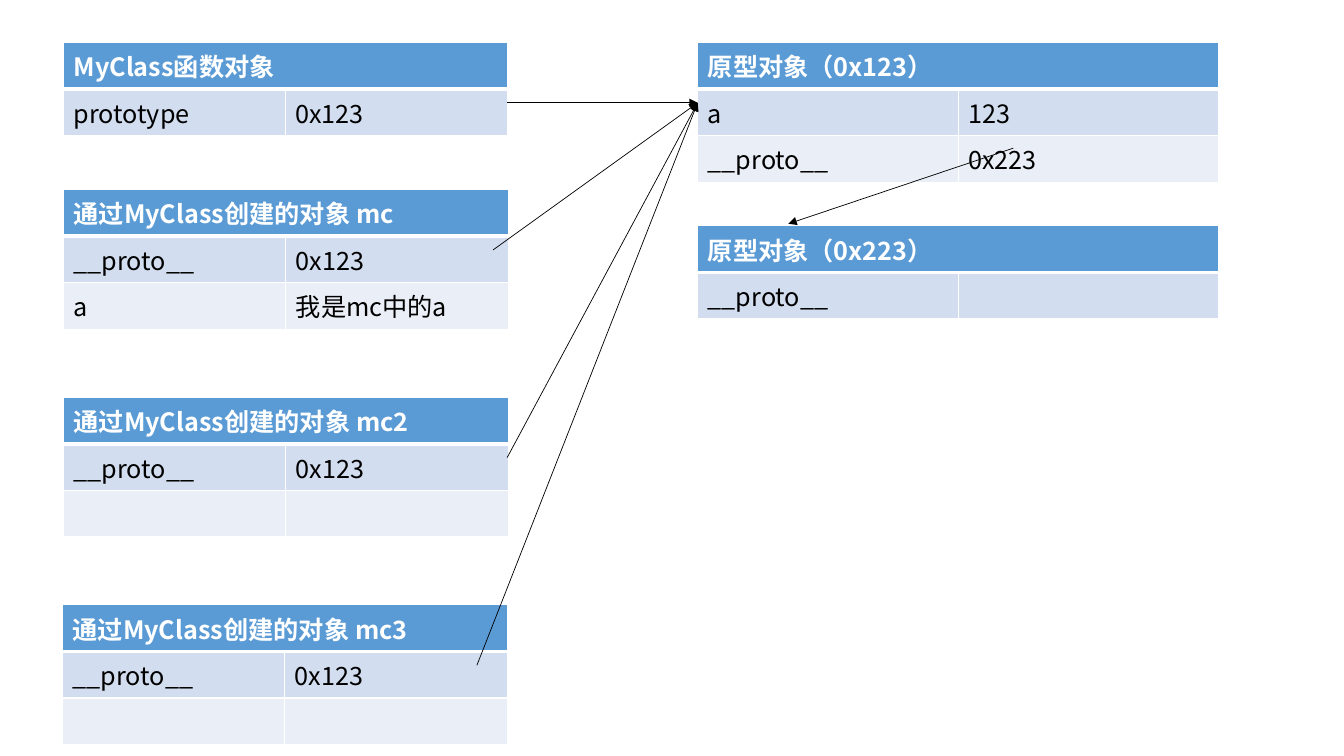
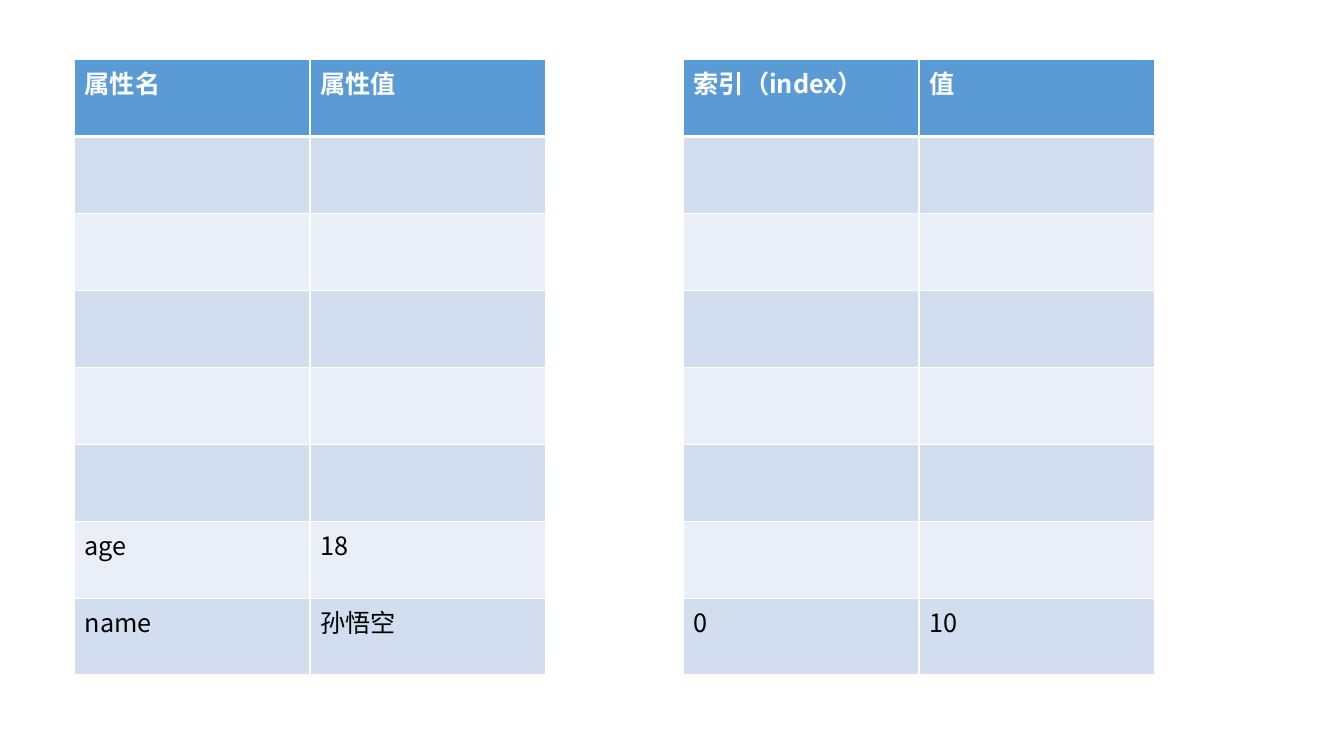
from lxml.etree import SubElement
from pptx import Presentation
from pptx.dml.color import RGBColor
from pptx.enum.shapes import MSO_CONNECTOR
from pptx.oxml.ns import qn
from pptx.util import Inches, Pt

COLORS = {"header": "5B9BD5", "odd": "D2DEEF", "even": "EAEFF7",
          "white": "FFFFFF", "black": "000000"}
FONT = "Noto Sans CJK SC"
TEXT_SIZE = 18
ROW_HEIGHT = 0.4

deck = Presentation()
deck.slide_width, deck.slide_height = Inches(13.33), Inches(7.5)
blank = deck.slide_layouts[6]


def add_grid(page, left, top, width, rows, row_height=ROW_HEIGHT):
    """Two-column banded table; a one-item first row spans both columns."""
    table = page.shapes.add_table(
        len(rows), 2, Inches(left), Inches(top),
        Inches(width), Inches(row_height * len(rows))).table
    if len(rows[0]) == 1:
        table.cell(0, 0).merge(table.cell(0, 1))
    for r, row in enumerate(rows):
        band = "header" if r == 0 else "odd" if r % 2 else "even"
        for c in range(2):
            cell = table.cell(r, c)
            # Cell borders, with a thick rule under the header
            properties = cell._tc.get_or_add_tcPr()
            for side in "LRTB":
                thick = (r, side) in ((0, "B"), (1, "T"))
                border = SubElement(properties, qn(f"a:ln{side}"),
                                    w=str(Pt(3 if thick else 1)))
                fill = SubElement(border, qn("a:solidFill"))
                SubElement(fill, qn("a:srgbClr"), val=COLORS["white"])
            cell.fill.solid()
            cell.fill.fore_color.rgb = RGBColor.from_string(COLORS[band])
            # Text, or the same type size held open in an empty cell
            text = row[c] if c < len(row) else ""
            para = cell.text_frame.paragraphs[0]
            if text:
                span = para.add_run()
                span.text = text
                span.font.size = Pt(TEXT_SIZE)
                span.font.bold = r == 0
                span.font.color.rgb = RGBColor.from_string(
                    COLORS["white" if r == 0 else "black"])
                style = span._r.get_or_add_rPr()
            else:
                style = SubElement(para._p, qn("a:endParaRPr"),
                                   sz=str(TEXT_SIZE * 100))
            for script in ("latin", "ea"):
                SubElement(style, qn(f"a:{script}"), typeface=FONT)


def add_arrow(page, start, end):
    arrow = page.shapes.add_connector(
        MSO_CONNECTOR.STRAIGHT, *(Inches(value) for value in start + end))
    arrow.line.color.rgb = RGBColor.from_string(COLORS["black"])
    arrow.line.width = Pt(0.5)
    SubElement(arrow.line._get_or_add_ln(), qn("a:tailEnd"), type="triangle")
    SubElement(arrow._element.spPr, qn("a:effectLst"))


# Slide 1: instances on the left, prototype chain on the right
page = deck.slides.add_slide(blank)
LEFT, RIGHT = 0.63, 6.92
INSTANCE_WIDTH, PROTOTYPE_WIDTH = 4.41, 5.17
link = ["__proto__", "0x123"]

add_grid(page, LEFT, 0.42, 4.4, [["MyClass函数对象"], ["prototype", "0x123"]])
add_grid(page, RIGHT, 0.42, PROTOTYPE_WIDTH,
         [["原型对象（0x123）"], ["a", "123"], ["__proto__", "0x223"]])
instances = [("mc", LEFT, 1.88, ["a", "我是mc中的a"]),
             ("mc2", LEFT, 3.94, []),
             ("mc3", 0.62, 6, [])]
for name, left, top, last_row in instances:
    add_grid(page, left, top, INSTANCE_WIDTH,
             [[f"通过MyClass创建的对象 {name}"], link, last_row])
add_grid(page, RIGHT, 2.24, PROTOTYPE_WIDTH,
         [["原型对象（0x223）"], ["__proto__"]])

# Every object points at the first prototype, which points at the next
for start in [(5.03, 1.02), (4.89, 2.48), (5.03, 4.54), (4.73, 6.6)]:
    add_arrow(page, start, (RIGHT, 1.02))
add_arrow(page, (10.05, 1.47), (7.82, 2.22))

# Slide 2: object properties beside array items, filled from the bottom
page = deck.slides.add_slide(blank)
ROW_COUNT = 8
listings = [(0.74, ["属性名", "属性值"], [["age", "18"], ["name", "孙悟空"]]),
            (6.78, ["索引（index）", "值"], [["0", "10"]])]
for left, header, entries in listings:
    gap = [[]] * (ROW_COUNT - 1 - len(entries))
    add_grid(page, left, 0.59, 4.67, [header] + gap + entries, 6.11 / ROW_COUNT)

deck.save("out.pptx")
